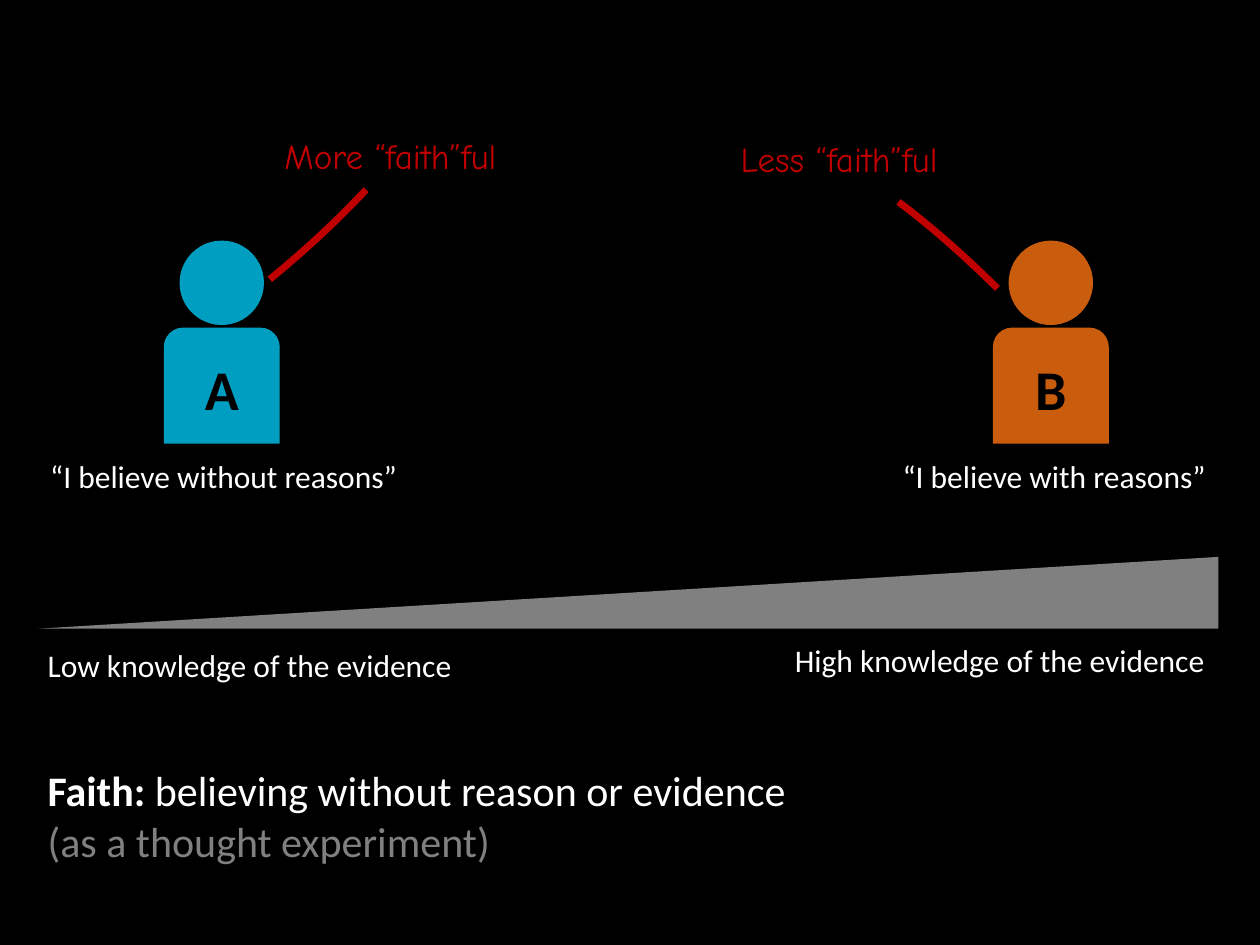
from pptx import Presentation
from pptx.dml.color import RGBColor
from pptx.enum.shapes import MSO_SHAPE as SHAPE
from pptx.enum.text import MSO_ANCHOR as ANCHOR, MSO_AUTO_SIZE as AUTO, PP_ALIGN as ALIGN
from pptx.util import Inches, Pt

BLACK, WHITE, GRAY, RED = "000000", "FFFFFF", "808080", "C00000"
BODY, HAND = "Calibri", "Comic Neue"

PEOPLE = [("A", 1.3, "009EC0"), ("B", 7.88, "CA5C0E")]
ARCS = [((-0.08, 1.5, 3.87, 0.83), 320.9), ((5.71, 2.19, 3.87, 0.83), 225)]
WEDGE = (0.3, 4.42, 9.37, 0.57)

LABELS = [
    ("“I believe without reasons”", (0.3, 3.58, 2.99, 0.4), 18, BODY, WHITE, ALIGN.LEFT, False),
    ("“I believe with reasons”", (7.03, 3.58, 2.64, 0.4), 18, BODY, WHITE, ALIGN.RIGHT, False),
    ("More “faith”ful", (2.16, 1.02, 2.06, 0.44), 20, HAND, RED, ALIGN.LEFT, False),
    ("Less “faith”ful", (5.78, 1.04, 2.02, 0.44), 20, HAND, RED, ALIGN.LEFT, False),
    ("Low knowledge of the evidence", (0.28, 5.08, 3.45, 0.4), 18, BODY, WHITE, ALIGN.LEFT, False),
    ("High knowledge of the evidence", (5.94, 5.04, 3.72, 0.4), 18, BODY, WHITE, ALIGN.RIGHT, True),
]


def rgb(value):
    return RGBColor.from_string(value)


def add_run(p, text, size, font, color, bold=False):
    r = p.add_run()
    r.text = text
    r.font.size = Pt(size)
    r.font.name = font
    r.font.bold = bold
    r.font.color.rgb = rgb(color)


def add_box(s, box, wrap, align=ALIGN.LEFT):
    tf = s.shapes.add_textbox(*map(Inches, box)).text_frame
    tf.word_wrap = wrap
    tf.auto_size = AUTO.SHAPE_TO_FIT_TEXT
    p = tf.paragraphs[0]
    p.alignment = align
    return p


def add_shape(s, kind, box, fill=None, line=None, flip=None):
    sp = s.shapes.add_shape(kind, *map(Inches, box))
    sp.shadow.inherit = False
    if fill:
        sp.fill.solid()
        sp.fill.fore_color.rgb = rgb(fill)
    else:
        sp.fill.background()
    if line:
        sp.line.color.rgb = rgb(line)
        sp.line.width = Pt(4)
    else:
        sp.line.fill.background()
    if flip:
        sp._element.spPr.get_or_add_xfrm().set(flip, "1")
    return sp


def add_person(s, letter, left, color):
    body, head = 0.92, 0.67
    add_shape(s, SHAPE.OVAL, (left + (body - head) / 2, 1.91, head, head), color)
    sp = add_shape(s, SHAPE.ROUND_2_SAME_RECTANGLE, (left, 2.6, body, body), color)
    tf = sp.text_frame
    tf.vertical_anchor = ANCHOR.MIDDLE
    p = tf.paragraphs[0]
    p.alignment = ALIGN.CENTER
    add_run(p, letter, 32, BODY, BLACK, True)


def main():
    prs = Presentation()
    prs.slide_width, prs.slide_height = Inches(10), Inches(7.5)
    s = prs.slides.add_slide(prs.slide_layouts[6])
    s.background.fill.solid()
    s.background.fill.fore_color.rgb = rgb(BLACK)

    for person in PEOPLE:
        add_person(s, *person)
    for box, angle in ARCS:
        sp = add_shape(s, SHAPE.ARC, box, line=RED, flip="flipV")
        sp.adjustments[0], sp.adjustments[1] = 164.65, 205.3
        sp.rotation = angle
    add_shape(s, SHAPE.RIGHT_TRIANGLE, WEDGE, GRAY, flip="flipH")

    for text, box, size, font, color, align, wrap in LABELS:
        add_run(add_box(s, box, wrap, align), text, size, font, color)

    p = add_box(s, (0.28, 6.02, 9.37, 0.91), True)
    add_run(p, "Faith: ", 24, BODY, WHITE, True)
    add_run(p, "believing without reason or evidence", 24, BODY, WHITE)
    p.add_line_break()
    add_run(p, "(as a thought experiment)", 24, BODY, GRAY)

    prs.save("out.pptx")


if __name__ == "__main__":
    main()
